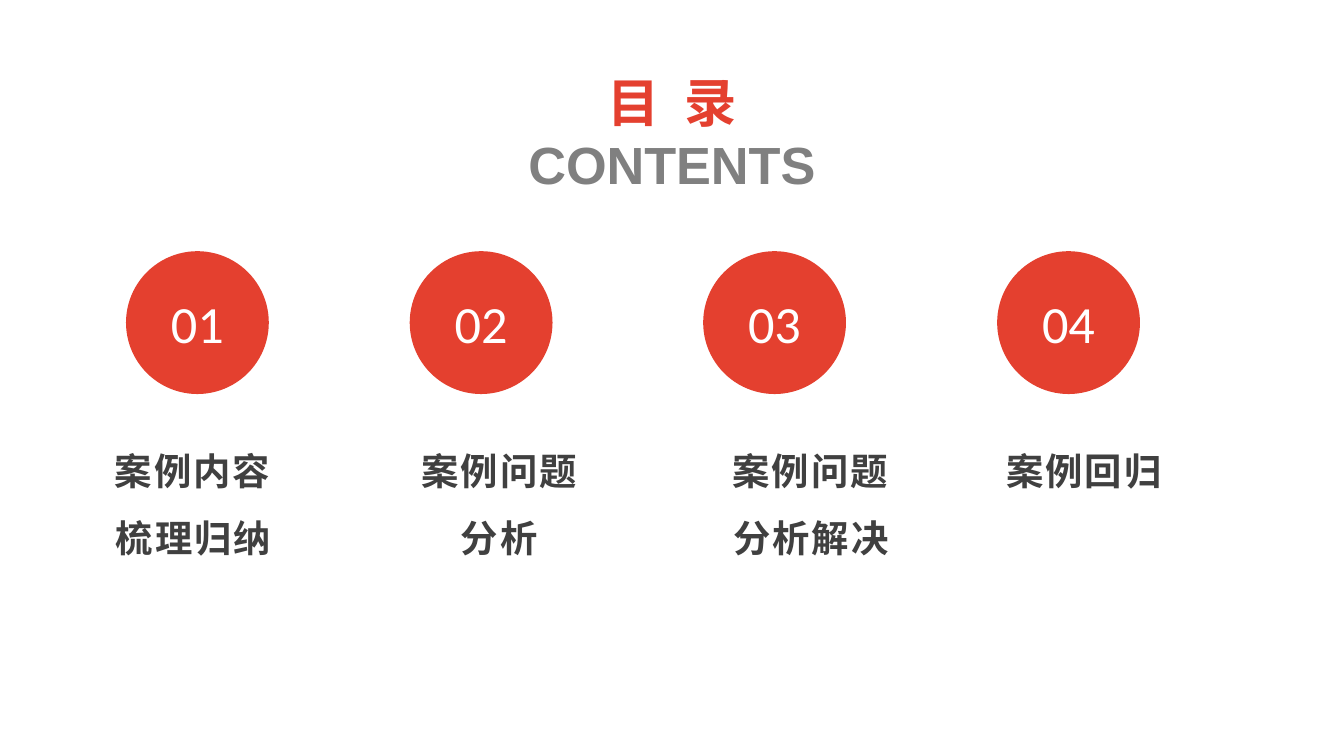
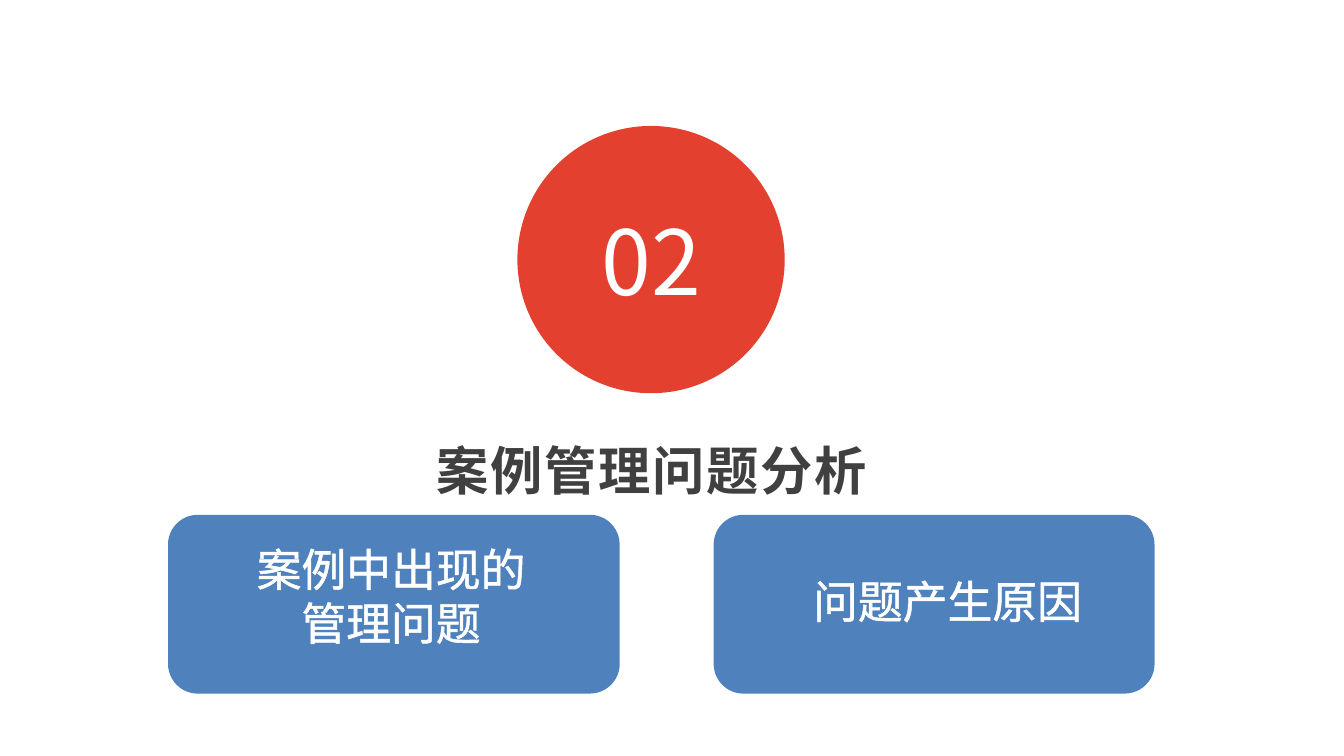
from typing import NamedTuple

from lxml import etree
from pptx import Presentation
from pptx.dml.color import RGBColor
from pptx.enum.shapes import MSO_SHAPE
from pptx.enum.text import MSO_ANCHOR, MSO_AUTO_SIZE, PP_ALIGN
from pptx.oxml.ns import qn
from pptx.util import Pt

RED = RGBColor(0xE4, 0x40, 0x2F)
BLUE = RGBColor(0x4F, 0x81, 0xBD)
GREY = RGBColor(0x80, 0x80, 0x80)
DARK = RGBColor(0x40, 0x40, 0x40)
WHITE = RGBColor(0xFF, 0xFF, 0xFF)

OVAL = MSO_SHAPE.OVAL
ROUND = MSO_SHAPE.ROUNDED_RECTANGLE
TOP = MSO_ANCHOR.TOP
MIDDLE = MSO_ANCHOR.MIDDLE
CENTER = PP_ALIGN.CENTER
NO_FIT = MSO_AUTO_SIZE.NONE

SANS = "Noto Sans CJK SC"
TITLE_ONLY = 5


class Box(NamedTuple):
    left: float
    top: float
    width: float
    height: float


class Style(NamedTuple):
    size: float
    color: RGBColor
    font: str = SANS
    bold: bool = False
    lines: float = 1.0
    space: float = 0
    edge: float = 0


class Topic(NamedTuple):
    number: str
    lines: list[str]
    disc_left: float
    text_left: float
    text_width: float


class Panel(NamedTuple):
    lines: list[str]
    box: Box
    text: Box


HEAD = Style(28, RED, "Roboto Condensed", bold=True)
SUBHEAD = Style(28, GREY, "Arial", bold=True)
NUMBER = Style(28, WHITE, "Calibri")
BIG_NUMBER = Style(48, WHITE)
CAPTION = Style(20, DARK, bold=True, lines=1.5, space=1)
SECTION = Style(28, DARK, bold=True, lines=1.5, space=1)
LABEL = Style(24, WHITE, edge=1.45)

DISC_TOP, DISC_SIZE = 134.6, 76.5
TEXT_TOP, TEXT_HEIGHT = 224.6, 80
WORD_GAP = 6.7

TOPICS = [
    Topic("01", ["案例内容梳理归纳"], 67.5, 50.4, 106.5),
    Topic("02", ["案例问题", "分析"], 219.5, 185.8, 163.4),
    Topic("03", ["案例问题分析解决"], 376.7, 382.3, 104.4),
    Topic("04", ["案例回归"], 534.2, 528.5, 104.4),
]
PANELS = [
    Panel(["案例中出现的", "管理问题"],
          Box(90, 275.8, 242, 95.8), Box(129.6, 286.6, 159.8, 65.5)),
    Panel(["问题产生原因"],
          Box(382.3, 275.8, 236.2, 95.8), Box(427.7, 303.8, 159.8, 36)),
]


def points(box: Box) -> list[int]:
    return [Pt(value) for value in box]


def format_line(line, style: Style) -> None:
    line.alignment = CENTER
    line.line_spacing = style.lines
    font = line.font
    font.name, font.size, font.bold = style.font, Pt(style.size), style.bold
    font.color.rgb = style.color
    props = line._p.pPr.find(qn("a:defRPr"))
    east = etree.Element(qn("a:ea"), typeface=style.font)
    props.find(qn("a:latin")).addnext(east)
    if style.space:
        props.set("spc", str(int(style.space * 100)))
    if style.edge:
        edge = etree.Element(qn("a:ln"), w=str(Pt(style.edge)))
        fill = etree.SubElement(edge, qn("a:solidFill"))
        etree.SubElement(fill, qn("a:srgbClr"), val=str(style.color))
        props.insert(0, edge)


def write(shape, lines: list[str], styles: list[Style],
          anchor=TOP, wrap: bool = True) -> None:
    """Fill a shape with one formatted paragraph per line."""
    frame = shape.text_frame
    frame.auto_size = NO_FIT
    frame.word_wrap = wrap
    frame.vertical_anchor = anchor
    frame.text = "\n".join(lines)
    for line, style in zip(frame.paragraphs, styles):
        format_line(line, style)


def add_text(slide, box: Box, lines: list[str], style: Style,
             wrap: bool = True) -> None:
    shape = slide.shapes.add_textbox(*points(box))
    write(shape, lines, [style] * len(lines), wrap=wrap)


def add_block(slide, kind, box: Box, color: RGBColor):
    shape = slide.shapes.add_shape(kind, *points(box))
    shape.shadow.inherit = False
    shape.fill.solid()
    shape.fill.fore_color.rgb = color
    shape.line.fill.background()
    return shape


def add_disc(slide, box: Box, number: str, style: Style) -> None:
    write(add_block(slide, OVAL, box, RED), [number], [style], MIDDLE)


def set_title(slide, box: Box, lines: list[str], styles: list[Style]):
    title = slide.shapes.title
    title.left, title.top, title.width, title.height = points(box)
    write(title, lines, styles)
    return title


def add_contents(deck) -> None:
    slide = deck.slides.add_slide(deck.slide_layouts[TITLE_ONLY])
    title = set_title(slide, Box(264.2, 33.8, 191.5, 74.9),
                      ["", "CONTENTS"], [HEAD, SUBHEAD])
    first = title.text_frame.paragraphs[0]
    for part in ("目", " ", "录"):
        run = first.add_run()
        run.text = part
        if part == " ":
            run._r.get_or_add_rPr().set("spc", str(int(WORD_GAP * 100)))
    for topic in TOPICS:
        disc = Box(topic.disc_left, DISC_TOP, DISC_SIZE, DISC_SIZE)
        add_disc(slide, disc, topic.number, NUMBER)
        text = Box(topic.text_left, TEXT_TOP, topic.text_width, TEXT_HEIGHT)
        add_text(slide, text, topic.lines, CAPTION)


def add_section(deck) -> None:
    slide = deck.slides.add_slide(deck.slide_layouts[TITLE_ONLY])
    set_title(slide, Box(163.4, 214.6, 371.5, 51.8),
              ["案例管理问题分析"], [SECTION])
    add_disc(slide, Box(277.2, 67.5, 143.2, 143.2), "02", BIG_NUMBER)
    for panel in PANELS:
        add_block(slide, ROUND, panel.box, BLUE)
        add_text(slide, panel.text, panel.lines, LABEL, wrap=False)


def main() -> None:
    deck = Presentation()
    deck.slide_width, deck.slide_height = Pt(720), Pt(405)
    add_contents(deck)
    add_section(deck)
    deck.save("out.pptx")


if __name__ == "__main__":
    main()
